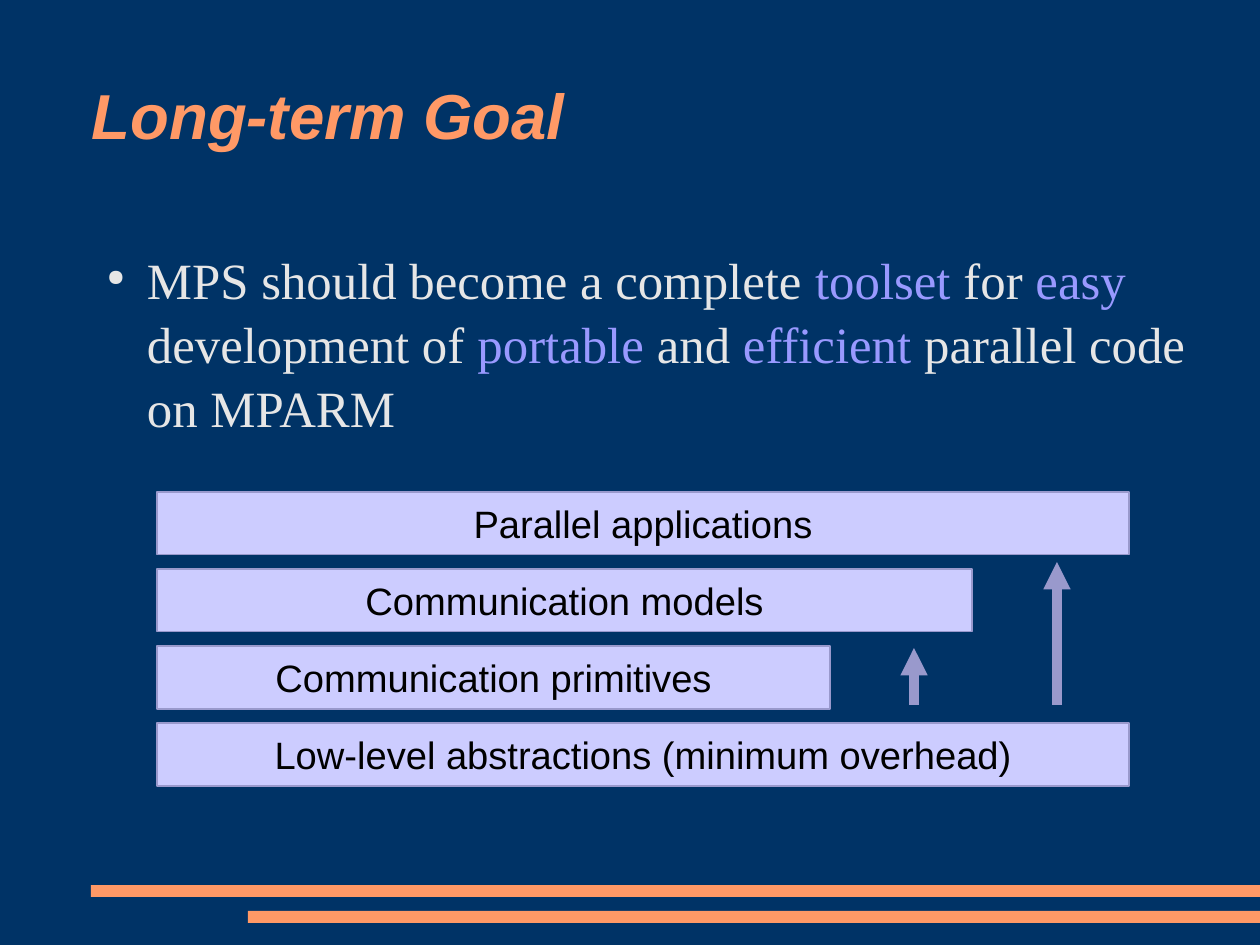
from lxml.etree import SubElement
from pptx import Presentation
from pptx.dml.color import RGBColor
from pptx.enum.shapes import MSO_CONNECTOR as Connector, MSO_SHAPE as Shape
from pptx.enum.text import MSO_ANCHOR as Anchor, PP_ALIGN as Align
from pptx.oxml.ns import qn
from pptx.util import Pt

NAVY = RGBColor(0x00, 0x33, 0x66)
ORANGE = RGBColor(0xFF, 0x99, 0x66)
LIGHT = RGBColor(0xE6, 0xE6, 0xE6)
VIOLET = RGBColor(0x99, 0x99, 0xFF)
LAVENDER = RGBColor(0xCC, 0xCC, 0xFF)
MAUVE = RGBColor(0x99, 0x99, 0xCC)
BLACK = RGBColor(0x00, 0x00, 0x00)

TITLE = "Long-term Goal"
GOAL = [
    ("MPS should become a complete ", LIGHT),
    ("toolset", VIOLET),
    (" for ", LIGHT),
    ("easy", VIOLET),
    (" development of ", LIGHT),
    ("portable", VIOLET),
    (" and ", LIGHT),
    ("efficient", VIOLET),
    (" parallel code on MPARM", LIGHT),
]
LAYERS = [
    ("Parallel applications", 972),
    ("Communication models", 815),
    ("Communication primitives", 673),
    ("Low-level abstractions (minimum overhead)", 972),
]
ARROWS = [(914, 648), (1057, 562)]
ARROW_START = 705
FOOTER_BARS = [(91, 885), (248, 911)]

SLIDE_WIDTH, SLIDE_HEIGHT = 1260, 945
LAYER_LEFT, LAYER_TOP, LAYER_HEIGHT, LAYER_PITCH = 157, 492, 63, 77
EMU_PER_PX = 8000


def px(*lengths):
    return [length * EMU_PER_PX for length in lengths]


def clear_margins(frame, anchor):
    frame.word_wrap = True
    frame.vertical_anchor = anchor
    frame.margin_left = frame.margin_top = 0
    frame.margin_right = frame.margin_bottom = 0
    return frame.paragraphs[0]


def set_font(paragraph, name, size):
    paragraph.font.name = name
    paragraph.font.size = Pt(size)


def add_text(slide, box, anchor):
    return clear_margins(slide.shapes.add_textbox(*px(*box)).text_frame, anchor)


def add_bar(slide, box, fill):
    shape = slide.shapes.add_shape(Shape.RECTANGLE, *px(*box))
    shape.shadow.inherit = False
    shape.fill.solid()
    shape.fill.fore_color.rgb = fill
    shape.line.fill.background()
    return shape


def add_bullet(paragraph):
    properties = paragraph._p.get_or_add_pPr()
    properties.set("marL", str(54 * EMU_PER_PX))
    properties.set("indent", str(-40 * EMU_PER_PX))
    color = SubElement(properties, qn("a:buClr"))
    SubElement(color, qn("a:srgbClr"), val=str(LIGHT))
    SubElement(properties, qn("a:buSzPct"), val="45000")
    SubElement(properties, qn("a:buChar"), char="●")


def add_title(slide):
    paragraph = add_text(slide, (92, 35, 1076, 158), Anchor.MIDDLE)
    paragraph.text = TITLE
    set_font(paragraph, "Arial", 40)
    paragraph.font.bold = paragraph.font.italic = True
    paragraph.font.color.rgb = ORANGE


def add_goal(slide):
    paragraph = add_text(slide, (93, 246, 1096, 617), Anchor.TOP)
    add_bullet(paragraph)
    paragraph.line_spacing = 1.05
    set_font(paragraph, "Times New Roman", 32)
    for text, color in GOAL:
        run = paragraph.add_run()
        run.text = text
        run.font.color.rgb = color


def add_layers(slide):
    for row, (label, width) in enumerate(LAYERS):
        top = LAYER_TOP + row * LAYER_PITCH
        shape = add_bar(slide, (LAYER_LEFT, top, width, LAYER_HEIGHT), LAVENDER)
        shape.line.color.rgb = MAUVE
        shape.line.width = Pt(0)
        paragraph = clear_margins(shape.text_frame, Anchor.MIDDLE)
        paragraph.text = label
        paragraph.alignment = Align.CENTER
        set_font(paragraph, "Arial", 24)
        paragraph.font.color.rgb = BLACK


def add_arrows(slide):
    for x, tip in ARROWS:
        arrow = slide.shapes.add_connector(
            Connector.STRAIGHT, *px(x, ARROW_START, x, tip))
        arrow.line.color.rgb = MAUVE
        arrow.line.width = Pt(5.75)
        SubElement(arrow.line._get_or_add_ln(), qn("a:tailEnd"), type="triangle")
        SubElement(arrow._element.spPr, qn("a:effectLst"))


def main():
    presentation = Presentation()
    presentation.slide_width, presentation.slide_height = px(SLIDE_WIDTH, SLIDE_HEIGHT)
    slide = presentation.slides.add_slide(presentation.slide_layouts[6])
    slide.background.fill.solid()
    slide.background.fill.fore_color.rgb = NAVY
    for left, top in FOOTER_BARS:
        add_bar(slide, (left, top, SLIDE_WIDTH - left, 12), ORANGE)
    add_title(slide)
    add_goal(slide)
    add_layers(slide)
    add_arrows(slide)
    presentation.save("out.pptx")


if __name__ == "__main__":
    main()
